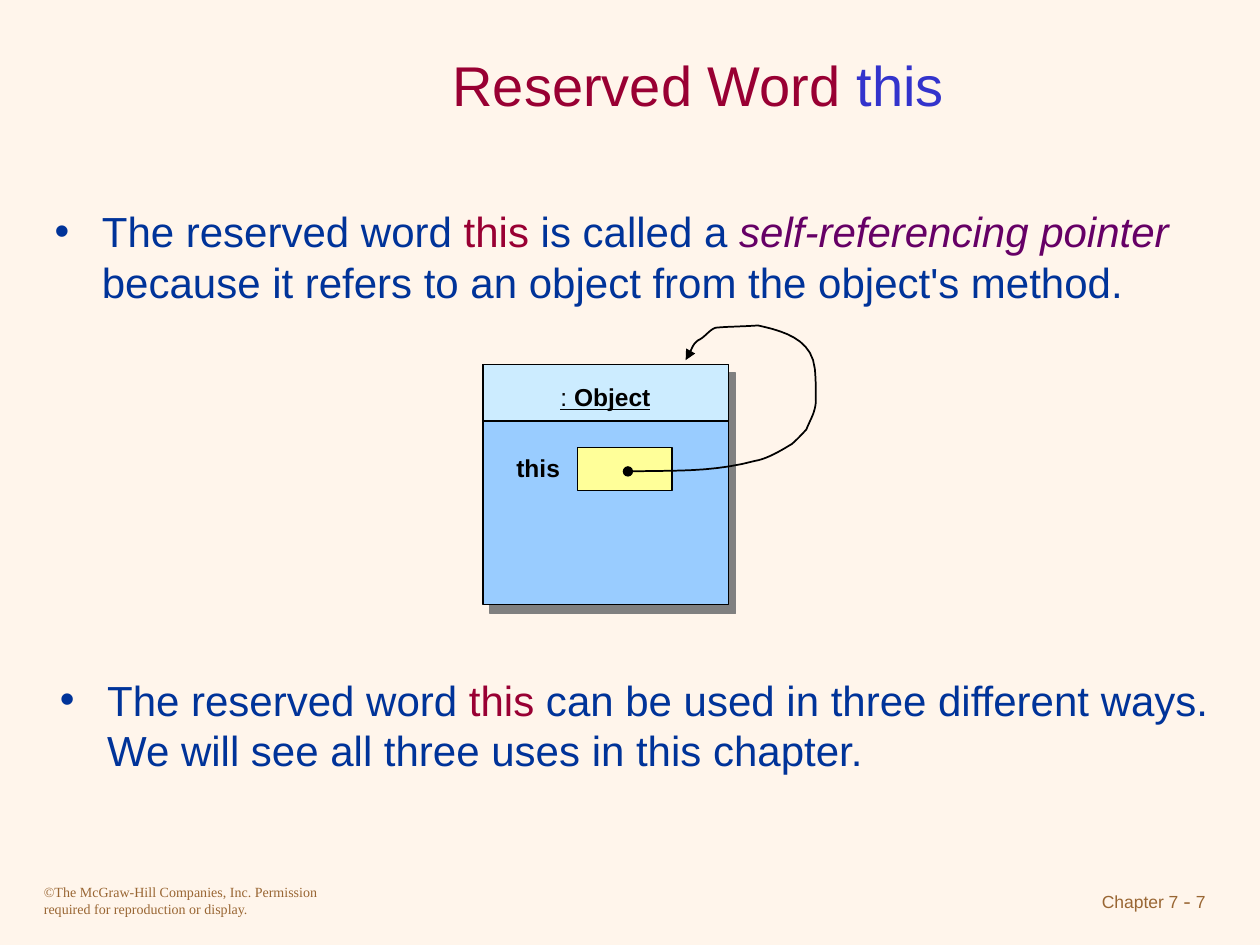
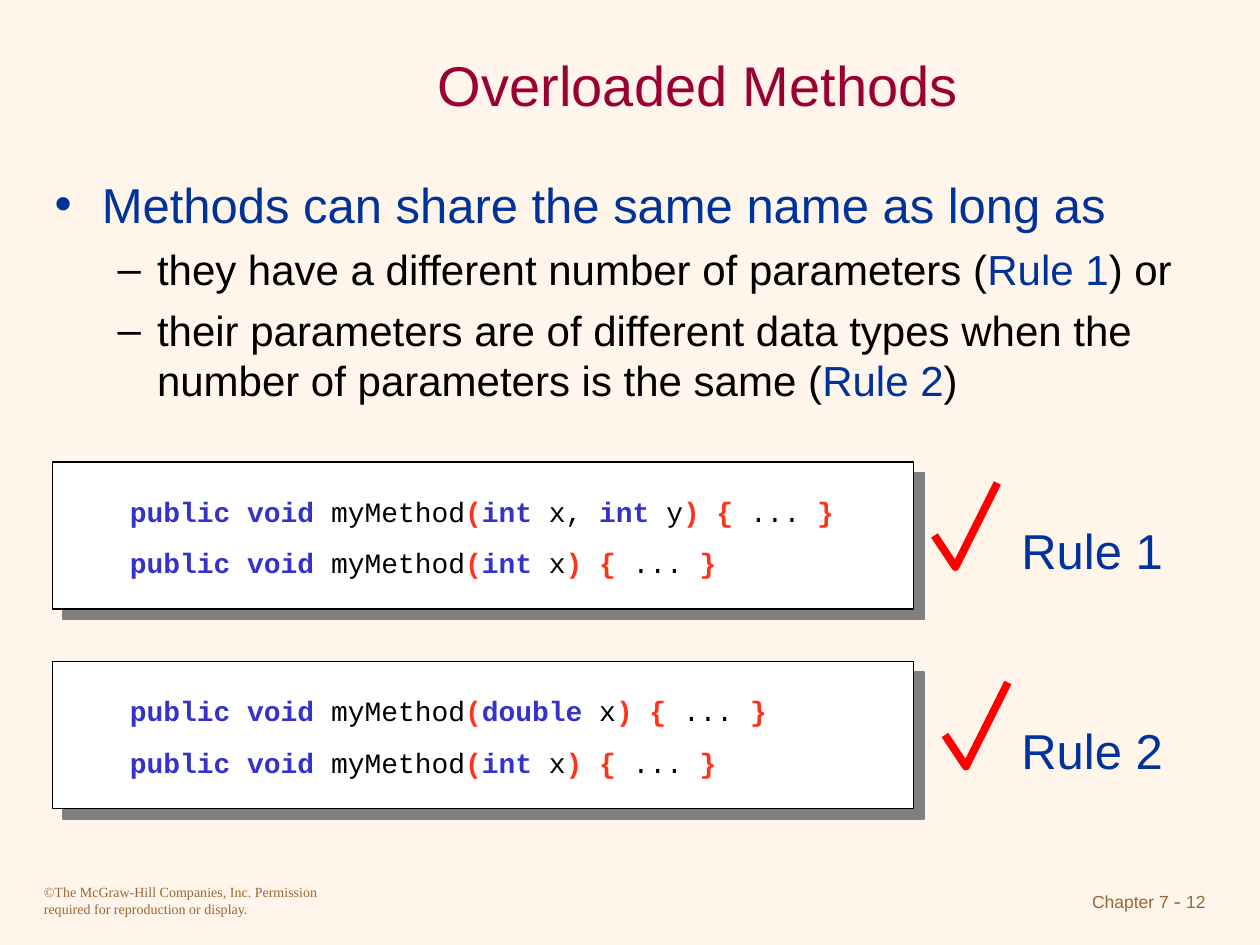
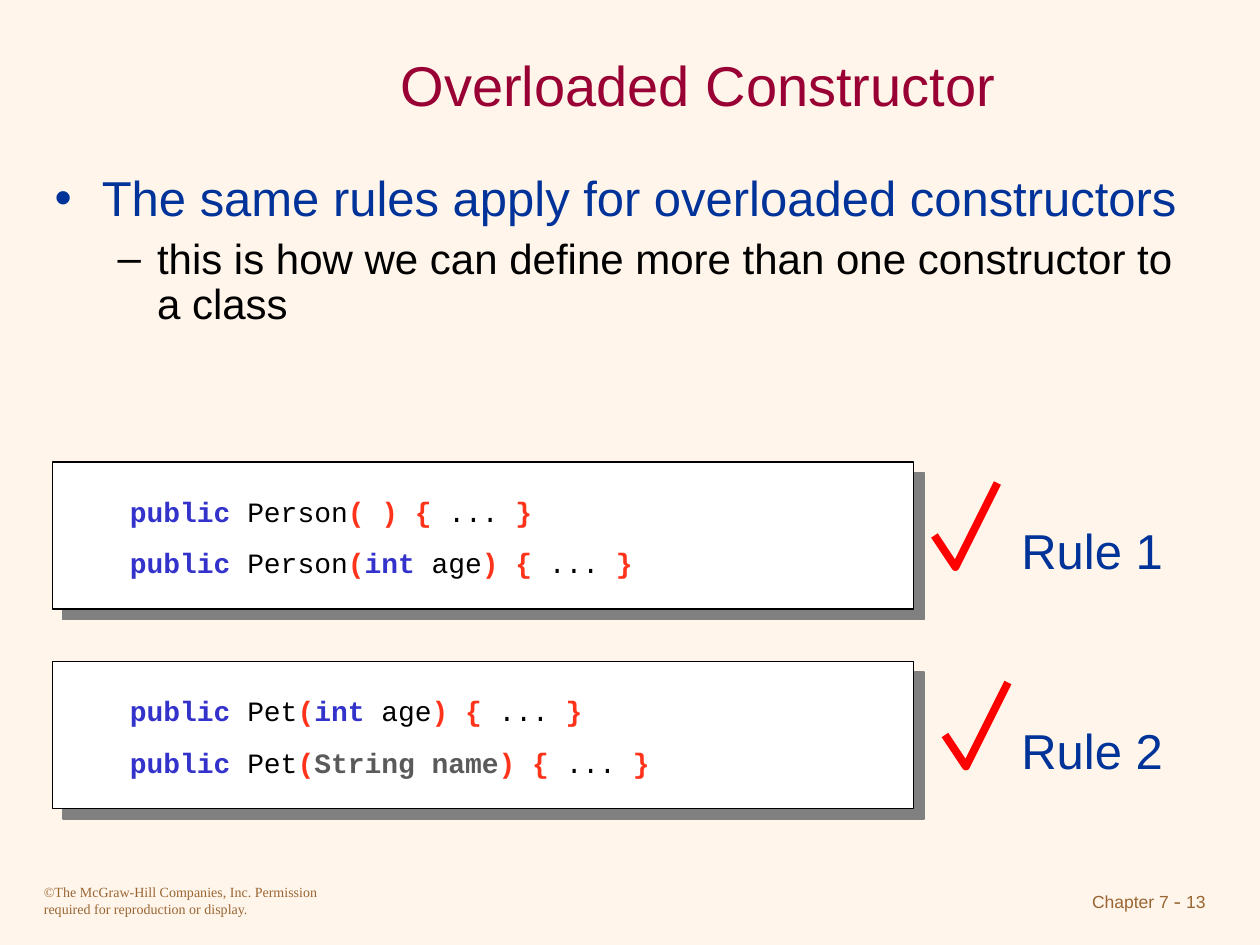
from dataclasses import dataclass

from lxml.etree import SubElement
from pptx import Presentation
from pptx.dml.color import RGBColor
from pptx.enum.shapes import MSO_SHAPE as Preset
from pptx.enum.text import MSO_ANCHOR as Anchor, MSO_AUTO_SIZE as AutoSize, PP_ALIGN as Align
from pptx.oxml.ns import qn
from pptx.util import Inches, Pt

WIDTH, HEIGHT = Inches(10), Inches(7.5)
COLUMNS, ROWS = 120, 90
COLUMN, ROW = WIDTH / COLUMNS, HEIGHT / ROWS

CREAM, WHITE, BLACK, GREY = "FFF5EB", "FFFFFF", "000000", "808080"
MAROON, NAVY, PURPLE, BROWN = "990033", "003399", "660066", "996633"
BLUE, RED, ORANGE, DARK_GREY = "3333CC", "FF0000", "FF331A", "5A5A5A"
SKY, PALE_SKY, YELLOW = "99CCFF", "CCECFF", "FFFF99"
SANS, SERIF, MONO = "Arial", "Times New Roman", "Courier New"

KEYWORD = dict(color=BLUE, bold=True)
BRACKET = dict(color=ORANGE, bold=True)
TYPE = dict(color=DARK_GREY, bold=True)
PLAIN = dict(color=BLACK)

SELF_CURVE = [
    [(18.2, 10.1), (21.8, 10.3), (25.9, 9.2)],
    [(27.1, 9), (28.4, 8.2), (29.4, 7.6)],
    [(29.9, 7.2), (30.8, 6.2), (30.8, 6.2)],
    [(31.1, 5.4), (31.6, 4.7), (31.7, 3.6)],
    [(31.7, 2.5), (31.7, 1.4), (31.6, 0.4)],
    [(31.3, -2.5), (28.4, -3.2), (26.2, -3.7)],
    [(24.8, -3.6), (23.6, -3.6), (22.3, -3.5)],
    [(21.7, -3.5), (21.1, -2.5), (20.5, -2.3)],
    [(19.7, -1.7), (19.9, -1.1), (19.3, -0.4)],
]


@dataclass
class Box:
    left: float
    top: float
    width: float
    height: float

    def inside(self, left, top, width, height):
        return Box(self.left + left, self.top + top, width, height)

    def point(self, left, top):
        return round((self.left + left) * COLUMN), round((self.top + top) * ROW)

    def frame(self):
        return (*self.point(0, 0), round(self.width * COLUMN), round(self.height * ROW))


def rgb(value):
    return RGBColor.from_string(value)


def add_span(para, text, size=24, color=BLACK, font=SANS, bold=False, italic=False, underline=False):
    span = para.add_run()
    span.text = text
    span.font.name = font
    span.font.size = Pt(size)
    span.font.color.rgb = rgb(color)
    span.font.bold = bold
    span.font.italic = italic
    span.font.underline = underline


def write(shape, paragraphs, before=0, align=None, **base):
    text = shape.text_frame
    text.word_wrap = True
    text.auto_size = AutoSize.NONE
    for index, spans in enumerate(paragraphs):
        para = text.add_paragraph() if index else text.paragraphs[0]
        para.space_before = Pt(before if index else 0)
        if align is not None:
            para.alignment = align
        for words, style in spans:
            add_span(para, words, **{**base, **style})


def add_label(page, box, paragraphs, **style):
    label = page.shapes.add_textbox(*box.frame())
    write(label, paragraphs, **style)
    return label


def add_panel(page, box, fill, shadow=None):
    panel = page.shapes.add_shape(Preset.RECTANGLE, *box.frame())
    panel.shadow.inherit = False
    panel.fill.solid()
    panel.fill.fore_color.rgb = rgb(fill)
    panel.line.color.rgb = rgb(BLACK)
    panel.line.width = Pt(0.75)
    if shadow:
        distance, angle = shadow
        effects = panel.element.spPr.find(qn("a:effectLst"))
        outer = SubElement(effects, qn("a:outerShdw"), dist=str(Pt(distance)),
                           dir=str(angle * 60000), algn="ctr", rotWithShape="0")
        SubElement(outer, qn("a:srgbClr"), val=GREY)


def add_stroke(page, points, color, width):
    builder = page.shapes.build_freeform(*points[0])
    builder.add_line_segments(points[1:], close=False)
    stroke = builder.convert_to_shape()
    stroke.shadow.inherit = False
    stroke.fill.background()
    stroke.line.color.rgb = rgb(color)
    stroke.line.width = Pt(width)
    return stroke


def bezier(start, first, second, end, steps=10):
    for step in range(1, steps + 1):
        t = step / steps
        weights = (1 - t) ** 3, 3 * t * (1 - t) ** 2, 3 * t * t * (1 - t), t ** 3
        yield tuple(sum(weight * value for weight, value in zip(weights, axis))
                    for axis in zip(start, first, second, end))


def place(shape, box):
    shape.left, shape.top, shape.width, shape.height = box.frame()


def add_page(deck, layout, number, title):
    page = deck.slides.add_slide(deck.slide_layouts[layout])
    place(page.shapes.title, Box(18, 3, 97, 10))
    page.shapes.title.text_frame.vertical_anchor = Anchor.MIDDLE
    write(page.shapes.title, [title], align=Align.CENTER, size=32, color=MAROON)
    add_footer(page, Box(3, 82, 113, 6), number)
    return page


def add_footer(page, box, number):
    notice = add_label(page, box.inside(0, 0, 30, box.height), [[
        ("©The McGraw-Hill Companies, Inc. Permission required for reproduction or display.", {}),
    ]], size=8, font=SERIF, color=BROWN)
    notice.text_frame.margin_top = Inches(0.18)
    chapter = add_label(page, box.inside(87, 0, 26, box.height), [[
        ("Chapter 7", {}), (" - ", dict(size=12, font=SERIF)), (str(number), {}),
    ]], align=Align.RIGHT, size=10, color=BROWN)
    chapter.text_frame.margin_top = Inches(0.21)


def fill_list(body, box, heading, details=(), spacing=1.0, size=28):
    place(body, box)
    write(body, [heading, *details], before=6, size=size, color=NAVY)
    for index, para in enumerate(body.text_frame.paragraphs):
        para.level = min(index, 1)
        para.line_spacing = spacing


def add_object_diagram(page, box):
    add_panel(page, box, SKY, shadow=(6.4, 51))
    add_panel(page, box.inside(0, 0, box.width, 5.4), PALE_SKY)
    add_label(page, box.inside(6.2, 1.1, 12.7, 4.1),
              [[(": ", {}), ("Object", dict(bold=True))]], size=14, underline=True)
    add_panel(page, box.inside(9, 7.9, 9, 4.1), YELLOW)
    add_label(page, box.inside(2, 7.9, 7, 4.1), [[("this", {})]], size=14, bold=True)
    points = [(13.8, 10.2)]
    for controls in SELF_CURVE:
        points.extend(bezier(points[-1], *controls))
    arrow = add_stroke(page, [box.point(*point) for point in points], BLACK, 1)
    outline = arrow.element.spPr.find(qn("a:ln"))
    SubElement(outline, qn("a:headEnd"), type="oval")
    SubElement(outline, qn("a:tailEnd"), type="triangle")


def signature(modifiers, name, *parameters):
    return [(modifiers, KEYWORD), (name, PLAIN), ("(", BRACKET), *parameters,
            (") { ", BRACKET), ("... ", PLAIN), ("}", BRACKET)]


def add_rule(page, box, rule, lines, check_left):
    add_panel(page, box, WHITE, shadow=(8.5, 45))
    add_label(page, box.inside(6.2, 2.5, 72, 9.2), lines, before=10, size=16, font=MONO)
    add_label(page, box.inside(91.1, 5, 17, 6.8), [[(rule, {})]], size=28, color=NAVY)
    check = [(0, 7), (2, 10), (6, 2)]
    add_stroke(page, [box.point(check_left + x, y) for x, y in check], RED, 4.5)


def add_rules(page, box, examples):
    for index, lines in enumerate(examples):
        add_rule(page, box.inside(0, 19 * index, 82, 14), f"Rule {index + 1}", lines, 84 + index)


def build_this_page(deck):
    page = add_page(deck, 3, 7, [("Reserved Word ", {}), ("this", dict(color=BLUE))])
    this = ("this", dict(color=MAROON))
    opening = ("The reserved word ", {})
    fill_list(page.placeholders[1], Box(4, 19, 112, 11.7), [
        opening, this, (" is called a ", {}),
        ("self-referencing pointer", dict(color=PURPLE, italic=True)),
        (" because it refers to an object from the object's method.", {}),
    ], size=24)
    add_object_diagram(page, Box(46, 34.7, 23.4, 22.9))
    fill_list(page.placeholders[2], Box(4.5, 63.6, 112, 11.7), [
        opening, this,
        (" can be used in three different ways. We will see all three uses in this chapter.", {}),
    ], size=24)


def build_overload_page(deck, number, title, body_height, heading, details, spacing, examples):
    page = add_page(deck, 1, number, [(title, {})])
    fill_list(page.placeholders[1], Box(4, 16, 112, body_height), [(heading, {})], details, spacing)
    add_rules(page, Box(5, 44, 110, 33), examples)


def main():
    deck = Presentation()
    deck.slide_width, deck.slide_height = WIDTH, HEIGHT
    background = deck.slide_master.background.fill
    background.solid()
    background.fore_color.rgb = rgb(CREAM)

    detail = dict(size=24, color=BLACK)
    rule = dict(size=24, color=NAVY)
    integer = ("int ", KEYWORD)
    x, y, age = ("x", PLAIN), ("y", PLAIN), ("age", PLAIN)
    method = ("public void ", "myMethod")
    one_integer = signature(*method, integer, x)

    build_this_page(deck)
    build_overload_page(
        deck, 12, "Overloaded Methods", 24, "Methods can share the same name as long as",
        [[("they have a different number of parameters (", detail), ("Rule 1", rule),
          (") or", detail)],
         [("their parameters are of different data types when the number of parameters"
           " is the same (", detail), ("Rule 2", rule), (")", detail)]],
        1.0,
        [[signature(*method, integer, ("x, ", PLAIN), integer, y), one_integer],
         [signature(*method, ("double ", KEYWORD), x), one_integer]])
    build_overload_page(
        deck, 13, "Overloaded Constructor", 17, "The same rules apply for overloaded constructors",
        [[("this is how we can define more than one constructor to a class", detail)]],
        0.9,
        [[signature("public ", "Person", (" ", BRACKET)),
          signature("public ", "Person", integer, age)],
         [signature("public ", "Pet", integer, age),
          signature("public ", "Pet", ("String name", TYPE))]])
    deck.save("out.pptx")


if __name__ == "__main__":
    main()
